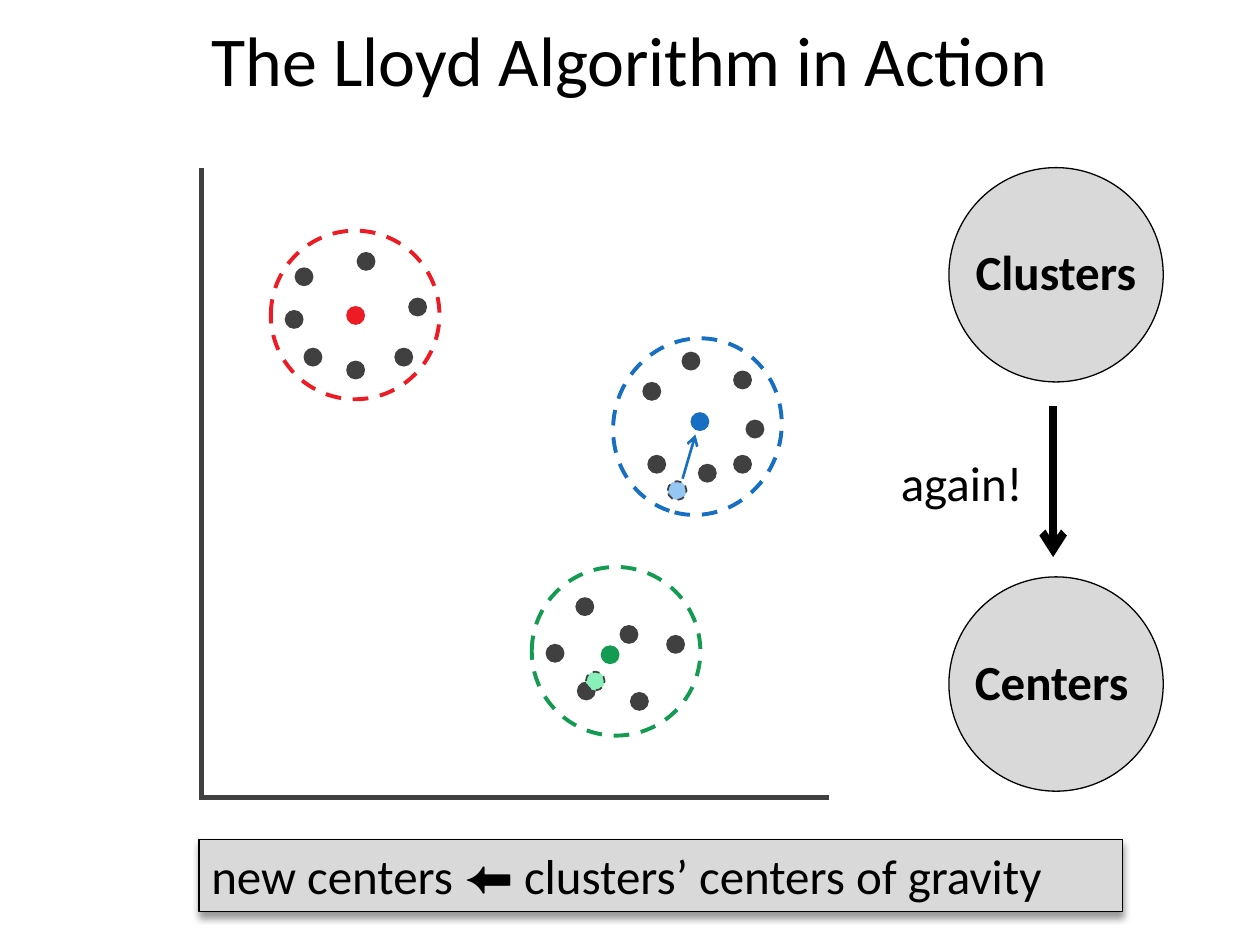
from lxml import etree
from pptx import Presentation
from pptx.dml.color import RGBColor
from pptx.enum.dml import MSO_LINE
from pptx.enum.shapes import MSO_CONNECTOR, MSO_SHAPE
from pptx.enum.text import MSO_ANCHOR, MSO_AUTO_SIZE, PP_ALIGN
from pptx.oxml import parse_xml
from pptx.oxml.ns import nsdecls, qn
from pptx.util import Cm, Pt

OVAL, RECT = MSO_SHAPE.OVAL, MSO_SHAPE.RECTANGLE
LINE, DASH = MSO_CONNECTOR.STRAIGHT, MSO_LINE.DASH
LEFT, CENTER = PP_ALIGN.LEFT, PP_ALIGN.CENTER
TOP, MIDDLE = MSO_ANCHOR.TOP, MSO_ANCHOR.MIDDLE
FIT = MSO_AUTO_SIZE.SHAPE_TO_FIT_TEXT

COLORS = {
    "ink": "000000", "point": "404040", "panel": "D9D9D9",
    "red": "ED1C24", "blue": "176FC1", "green": "149B52",
    "old blue": "96C6F2", "old green": "88F0B8",
}
DOT = 0.38

# Offsets in cm from the plot's top left corner; ring = x, y, width, height, turn
CLUSTERS = [
    {"color": "red", "ring": (1.45, 1.27, 3.4, 3.4, 0),
     "center": (2.97, 2.79), "old": None,
     "points": [(1.73, 2.87), (2.97, 3.89), (4.22, 2.62), (3.18, 1.7),
                (2.11, 3.63), (1.93, 2.01), (3.94, 3.63)]},
    {"color": "blue", "ring": (8.26, 3.53, 3.58, 3.38, 288.4),
     "center": (9.91, 4.93), "old": (9.45, 6.32),
     "points": [(11.02, 5.08), (10.06, 5.97), (10.77, 5.79), (10.77, 4.09),
                (8.94, 4.32), (9.73, 3.71), (9.04, 5.79)]},
    {"color": "green", "ring": (6.71, 8.05, 3.4, 3.4, 0),
     "center": (8.1, 9.63), "old": (7.8, 10.16),
     "points": [(7.59, 8.66), (7.62, 10.36), (9.42, 9.42), (6.99, 9.6),
                (8.48, 9.22), (8.69, 10.57)]},
]


def rgb(name):
    return RGBColor.from_string(COLORS[name])


def stroke(line, color, width, dash=None):
    line.color.rgb = rgb(color)
    line.width = Pt(width)
    if dash:
        line.dash_style = dash


def add_form(slide, kind, x, y, w, h, fill=None, line=None):
    """Add a preset shape; line holds the arguments of stroke."""
    form = slide.shapes.add_shape(kind, Cm(x), Cm(y), Cm(w), Cm(h))
    form.shadow.inherit = False
    if fill:
        form.fill.solid()
        form.fill.fore_color.rgb = rgb(fill)
    else:
        form.fill.background()
    if line:
        stroke(form.line, *line)
    else:
        form.line.fill.background()
    return form


def add_line(slide, start, end, color, width, arrow=False):
    link = slide.shapes.add_connector(LINE, *map(Cm, start + end))
    stroke(link.line, color, width)
    props = link._element.spPr
    if arrow:
        etree.SubElement(props.find(qn("a:ln")), qn("a:tailEnd"), type="arrow")
    etree.SubElement(props, qn("a:effectLst"))


def write(form, text, size=28, bold=False, align=LEFT, **frame):
    body = form.text_frame
    for name, value in frame.items():
        setattr(body, name, value)
    para = body.paragraphs[0]
    para.alignment = align
    run = para.add_run()
    run.text = text
    style = {"name": "Calibri", "size": Pt(size), "bold": bold}
    for name, value in style.items():
        setattr(run.font, name, value)
    run.font.color.rgb = rgb("ink")


def add_label(slide, x, y, w, h, text, **style):
    write(slide.shapes.add_textbox(Cm(x), Cm(y), Cm(w), Cm(h)), text, **style)


def add_title(slide, x, y, w, h):
    add_label(slide, x, y, w, h, "The Lloyd Algorithm in Action", size=40,
              align=CENTER, word_wrap=True, vertical_anchor=TOP)


def add_plot(slide, x, y, side):
    base = y + side
    add_line(slide, (x + 0.05, y), (x + 0.05, base), "point", 3)
    add_line(slide, (x + side, base), (x, base), "point", 3)

    def dot(spot, fill, line=None):
        add_form(slide, OVAL, x + spot[0], y + spot[1], DOT, DOT, fill, line)

    for group in CLUSTERS:
        color = group["color"]
        for spot in group["points"]:
            dot(spot, "point")
        dot(group["center"], color)
        if group["old"]:
            dot(group["old"], "old " + color, ("point", 1, DASH))
        dx, dy, w, h, turn = group["ring"]
        ring = add_form(slide, OVAL, x + dx, y + dy, w, h,
                        line=(color, 2.25, DASH))
        ring.rotation = turn
    add_line(slide, (x + 9.75, y + 6.27), (x + 10.01, y + 5.38),
             "blue", 1.5, arrow=True)


def add_steps(slide, x, y, w, h):
    """Draw the two step discs with the arrow between them."""
    disc = 4.32
    left = x + w - disc
    steps = [("Clusters", y, 4.01), ("Centers", y + h - disc, 3.84)]
    for text, top, wide in steps:
        add_form(slide, OVAL, left, top, disc, disc, "panel", ("ink", 0.75))
        add_label(slide, left + 0.15, top + 1.37, wide, 1.45, text, bold=True,
                  align=CENTER, word_wrap=False, auto_size=FIT)
    mid = x + 3.32
    add_line(slide, (mid, y + 4.8), (mid, y + 7.85), "ink", 4.5, arrow=True)
    add_label(slide, x, y + 5.61, 3.18, 1.45, "again!",
              word_wrap=False, auto_size=FIT)


def add_banner(slide, x, y, w, h):
    bar = add_form(slide, RECT, x, y, w, h, "panel", ("ink", 0.75))
    effects = bar._element.spPr.find(qn("a:effectLst"))
    effects.append(parse_xml(
        f'<a:outerShdw {nsdecls("a")} blurRad="{Pt(4)}" dist="{Pt(3)}" '
        'dir="5400000" rotWithShape="0">'
        f'<a:srgbClr val="{COLORS["ink"]}"><a:alpha val="40000"/></a:srgbClr>'
        '</a:outerShdw>'))
    write(bar, "new centers ⬅ clusters’ centers of gravity",
          word_wrap=True, vertical_anchor=TOP, auto_size=FIT)


def main():
    deck = Presentation()
    deck.slide_width, deck.slide_height = Cm(25.4), Cm(19.05)
    slide = deck.slides.add_slide(deck.slide_layouts[6])
    add_title(slide, 1.27, 0.2, 22.86, 3.18)
    add_plot(slide, 4.01, 3.38, 12.7)
    add_banner(slide, 4.01, 16.92, 18.62, 1.45)
    add_steps(slide, 17.91, 3.38, 5.54, 12.57)
    deck.save("out.pptx")


if __name__ == "__main__":
    main()
